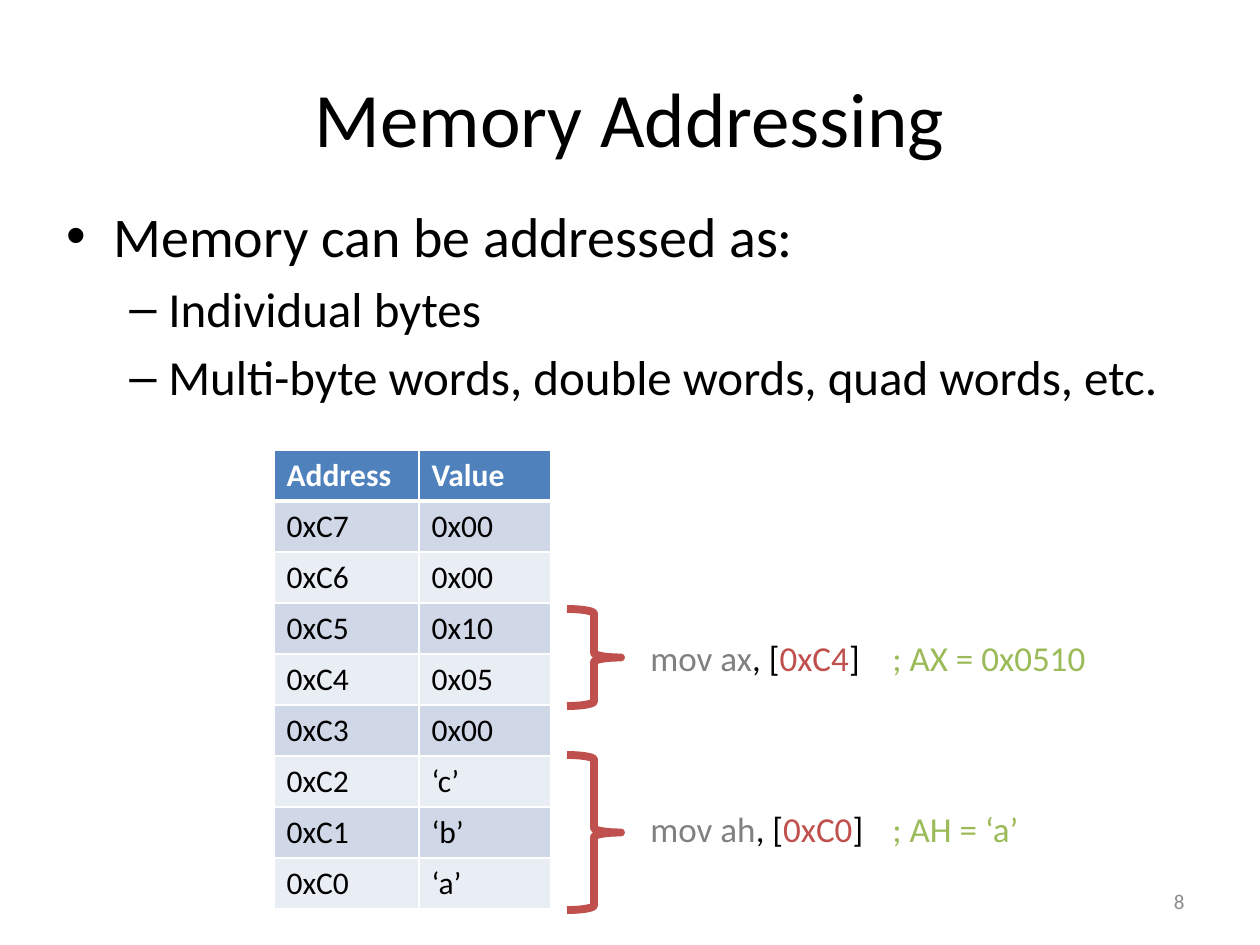
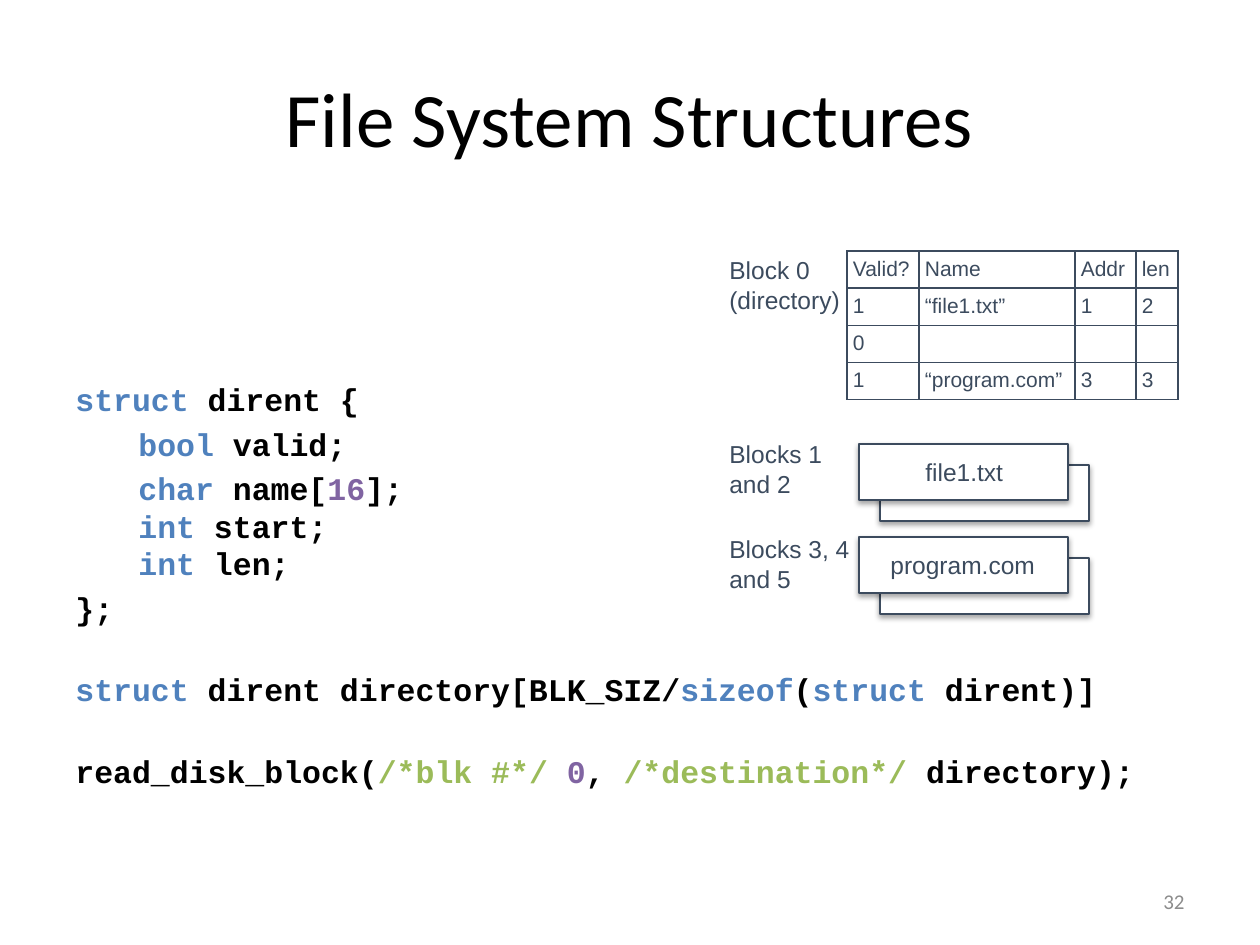
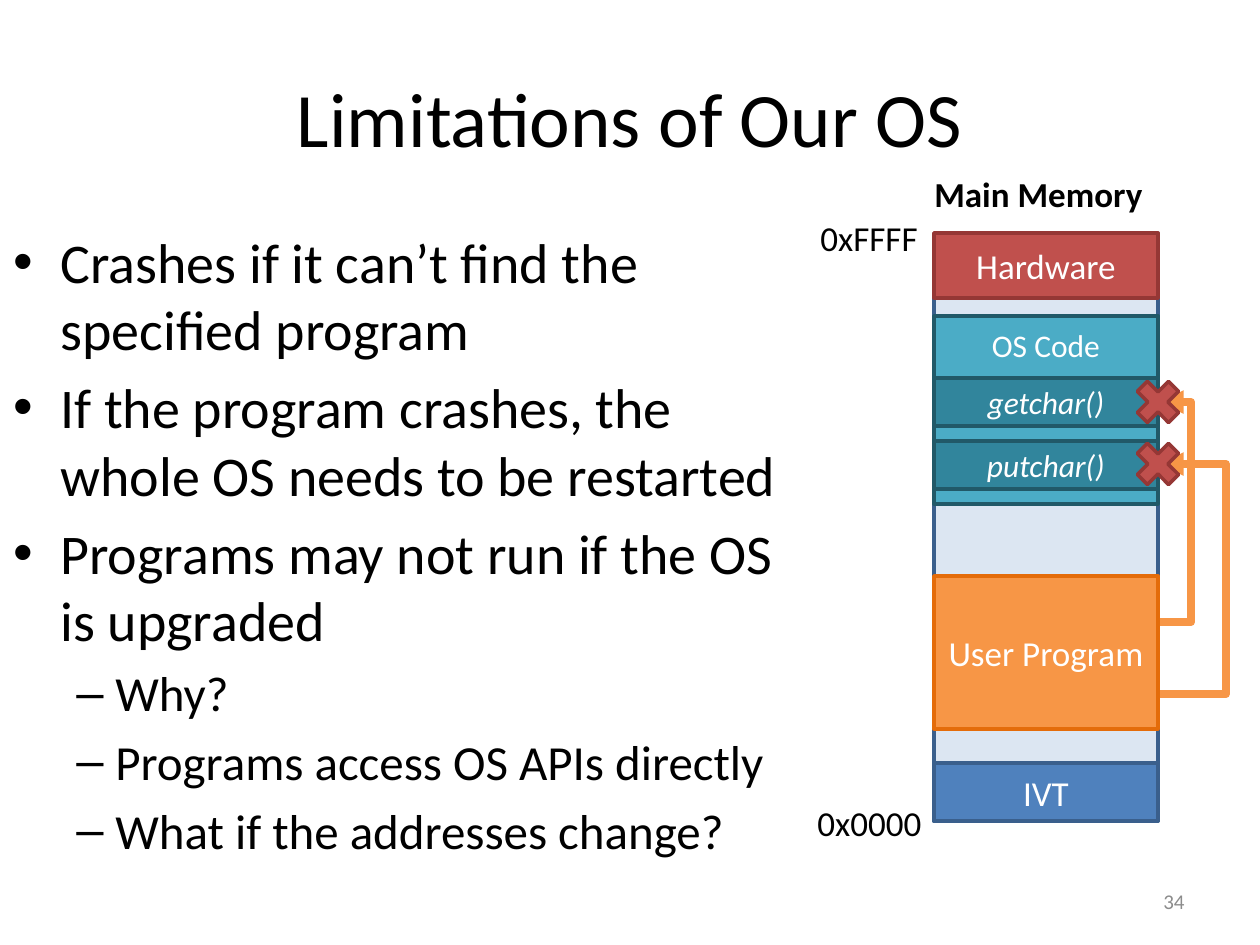
from dataclasses import dataclass

from pptx import Presentation
from pptx.dml.color import RGBColor
from pptx.enum.shapes import MSO_SHAPE
from pptx.enum.text import MSO_ANCHOR, PP_ALIGN
from pptx.oxml import parse_xml
from pptx.oxml.ns import nsdecls, qn
from pptx.util import Inches, Pt


@dataclass(frozen=True)
class Theme:
    black: str = "000000"
    white: str = "FFFFFF"
    gray: str = "808080"
    number_gray: str = "8C8C8C"
    slate: str = "3C4B5E"
    blue: str = "4F81BD"
    dark_blue: str = "3A5F8C"
    pale_blue: str = "DCE6F2"
    odd_row: str = "D0D8E8"
    even_row: str = "E9EDF4"
    red: str = "C0504D"
    dark_red: str = "953735"
    green: str = "9BBB59"
    purple: str = "8064A2"
    teal: str = "4BACC6"
    mid_teal: str = "31859C"
    dark_teal: str = "215968"
    orange: str = "F79646"
    dark_orange: str = "E46C0A"
    body_font: str = "Calibri"
    figure_font: str = "Arial"
    code_font: str = "Courier New"
    title_size: int = 44
    bullet_size: int = 32
    dash_size: int = 28
    label_size: int = 20
    code_size: int = 18
    caption_size: int = 14
    small_size: int = 12


theme = Theme()
PIXEL = Inches(1) / 126


def place(slide, kind, box, fill=None, line=None, width=2):
    """Add a preset shape, or a text box when kind is None; box is in pixels."""
    edges = [round(value * PIXEL) for value in box]
    if kind is None:
        shape = slide.shapes.add_textbox(*edges)
    else:
        shape = slide.shapes.add_shape(kind, *edges)
        shape.shadow.inherit = False
        if fill:
            shape.fill.solid()
            shape.fill.fore_color.rgb = RGBColor.from_string(fill)
        else:
            shape.fill.background()
        shape.line.color.rgb = RGBColor.from_string(line)
        shape.line.width = Pt(width)
    shape.text_frame.word_wrap = True
    return shape


def write(holder, text, size=theme.label_size, color=theme.black, font=theme.body_font,
          bold=False, italic=False, align=PP_ALIGN.LEFT, before=0, spacing=None,
          bullet=None, margin=0, hanging=0, tab=None):
    """Add a paragraph; text is a string or a list of (text, colour) runs."""
    frame = holder.text_frame
    paragraph = frame.paragraphs[0]
    if paragraph.runs:
        paragraph = frame.add_paragraph()
    paragraph.alignment = align
    paragraph.space_before = Pt(before)
    if spacing:
        paragraph.line_spacing = Pt(spacing)
    properties = paragraph._p.get_or_add_pPr()
    if bullet:
        properties.set("marL", str(round(margin * PIXEL)))
        properties.set("indent", str(round(-hanging * PIXEL)))
        properties.append(parse_xml(f'<a:buFont {nsdecls("a")} typeface="Arial"/>'))
        properties.append(parse_xml(f'<a:buChar {nsdecls("a")} char="{bullet}"/>'))
    if tab:
        properties.append(parse_xml(
            f'<a:tabLst {nsdecls("a")}><a:tab pos="{round(tab * PIXEL)}" algn="l"/></a:tabLst>'))
    if not text:
        paragraph._p.get_or_add_endParaRPr().set("sz", str(size * 100))
        return
    for words, run_color in [(text, color)] if isinstance(text, str) else text:
        run = paragraph.add_run()
        run.text = words
        run.font.name = font
        run.font.size = Pt(size)
        run.font.bold = bold
        run.font.italic = italic
        run.font.color.rgb = RGBColor.from_string(run_color)


presentation = Presentation()
presentation.slide_width = Inches(10)
presentation.slide_height = Inches(7.5)

# Shared title and slide number
slides = []
for title, number in [("Memory Addressing", "8"), ("File System Structures", "32"),
                      ("Limitations of Our OS", "34")]:
    slide = presentation.slides.add_slide(presentation.slide_layouts[6])
    slides.append(slide)
    for text, box, size, color, align in [
            (title, (63, 38, 1134, 158), theme.title_size, theme.black, PP_ALIGN.CENTER),
            (number, (903, 876, 294, 50), theme.small_size, theme.number_gray, PP_ALIGN.RIGHT)]:
        shape = place(slide, None, box)
        shape.text_frame.vertical_anchor = MSO_ANCHOR.MIDDLE
        write(shape, text, size=size, color=color, align=align)
addressing, file_system, limitations = slides

# Bullet lists: first the main points, then the dashed ones
for slide, box, points, dashes in [
        (addressing, (54, 195, 1166, 236), ["Memory can be addressed as:"],
         ["Individual bytes", "Multi-byte words, double words, quad words, etc."]),
        (limitations, (1, 221, 814, 624),
         ["Crashes if it can’t find the specified program",
          "If the program crashes, the whole OS needs to be restarted",
          "Programs may not run if the OS is upgraded"],
         ["Why?", "Programs access OS APIs directly", "What if the addresses change?"])]:
    shape = place(slide, None, box)
    for point in points:
        write(shape, point, size=theme.bullet_size, before=6.4, bullet="•", margin=47, hanging=47)
    for dash in dashes:
        write(shape, dash, size=theme.dash_size, before=5.6, bullet="–", margin=102, hanging=39)

# Tables: memory contents and disk directory
memory_rows = [("Address", "Value"), ("0xC7", "0x00"), ("0xC6", "0x00"), ("0xC5", "0x10"),
               ("0xC4", "0x05"), ("0xC3", "0x00"), ("0xC2", "‘c’"), ("0xC1", "‘b’"),
               ("0xC0", "‘a’")]
directory_rows = [("Valid?", "Name", "Addr", "len"), ("1", "“file1.txt”", "1", "2"),
                  ("0", "", "", ""), ("1", "“program.com”", "3", "3")]
for slide, left, top, widths, height, rows, banded, font, size, ink, border in [
        (addressing, 274, 450, (145, 132), 51, memory_rows, True,
         theme.body_font, theme.code_size, theme.black, theme.white),
        (file_system, 847, 251, (72, 156, 61, 42), 36, directory_rows, False,
         theme.figure_font, theme.small_size, theme.slate, theme.slate)]:
    table = slide.shapes.add_table(
        len(rows), len(widths), round(left * PIXEL), round(top * PIXEL),
        round(sum(widths) * PIXEL), round(height * len(rows) * PIXEL)).table
    for column, width in zip(table.columns, widths):
        column.width = round(width * PIXEL)
    for row_index, row in enumerate(rows):
        table.rows[row_index].height = round(height * PIXEL)
        header = banded and row_index == 0
        for column_index, text in enumerate(row):
            cell = table.cell(row_index, column_index)
            if banded:
                fill = theme.blue if header else (theme.even_row, theme.odd_row)[row_index % 2]
                cell.fill.solid()
                cell.fill.fore_color.rgb = RGBColor.from_string(fill)
            else:
                cell.fill.background()
                cell.margin_left = cell.margin_right = round(6 * PIXEL)
                cell.margin_top = cell.margin_bottom = round(6 * PIXEL)
            write(cell, text, size=size, font=font, bold=header,
                  color=theme.white if header else ink)
            for position, side in enumerate(("lnL", "lnR", "lnT", "lnB")):
                thick = banded and (row_index, side) in [(0, "lnB"), (1, "lnT")]
                cell._tc.get_or_add_tcPr().insert(position, parse_xml(
                    f'<a:{side} {nsdecls("a")} w="{Pt(3 if thick else 1)}"><a:solidFill>'
                    f'<a:srgbClr val="{border}"/></a:solidFill></a:{side}>'))

# Memory Addressing: braces and the instructions that read those bytes
for brace_top, brace_height, text_top, register, address, comment in [
        (755, 155, 801, "mov ah", "0xC0", "; AH = ‘a’"),
        (609, 97, 630, "mov ax", "0xC4", "; AX = 0x0510")]:
    place(addressing, MSO_SHAPE.RIGHT_BRACE, (567, brace_top, 54, brace_height),
          line=theme.red, width=4.5)
    shape = place(addressing, None, (638, text_top, 470, 55))
    write(shape, [(register, theme.gray), (", [", theme.black), (address, theme.red),
                  ("]\t", theme.black), (comment, theme.green)], tab=242)

# File System Structures: code, with the space before each line
black, blue, green, purple = theme.black, theme.blue, theme.green, theme.purple
code = [
    (0, [("struct ", blue), ("dirent {", black)]),
    (4, [("\t", black), ("bool ", blue), ("valid;", black)]),
    (4, [("\t", black), ("char ", blue), ("name[", black), ("16", purple), ("];", black)]),
    (0, [("\t", black), ("int ", blue), ("start;", black)]),
    (0, [("\t", black), ("int ", blue), ("len;", black)]),
    (4, [("};", black)]),
    (25, [("struct ", blue), ("dirent directory[BLK_SIZ/", black), ("sizeof", blue),
          ("(", black), ("struct ", blue), ("dirent)]", black)]),
    (25, [("read_disk_block(", black), ("/*blk #*/ ", green), ("0", purple), (", ", black),
          ("/*destination*/ ", green), ("directory);", black)]),
]
shape = place(file_system, None, (63, 374, 1134, 430))
for before, runs in code:
    write(shape, runs, size=theme.code_size, font=theme.code_font, bold=True,
          before=before, spacing=21.5)

# File System Structures: stacked blocks with a soft shadow
for top, name, name_left in [(444, "file1.txt", 913), (537, "program.com", 878)]:
    for offset in (21, 0):
        shape = place(file_system, MSO_SHAPE.ROUNDED_RECTANGLE,
                      (859 + offset, top + offset, 209, 56), theme.white, theme.slate, 1.5)
        shape.adjustments[0] = 0
        shape._element.spPr.find(qn("a:effectLst")).append(parse_xml(
            f'<a:outerShdw {nsdecls("a")} blurRad="40000" dist="23000" dir="5400000" '
            'rotWithShape="0"><a:srgbClr val="000000"><a:alpha val="35000"/></a:srgbClr>'
            '</a:outerShdw>'))
    write(place(file_system, None, (name_left, top + 7, 180, 43)), name,
          size=theme.caption_size, font=theme.figure_font, color=theme.slate)
for top, caption in [(249, "Block 0 (directory)"), (433, "Blocks 1 and 2"),
                     (528, "Blocks 3, 4 and 5")]:
    write(place(file_system, None, (717, top, 152, 72)), caption,
          size=theme.caption_size, font=theme.figure_font, color=theme.slate)

# Limitations: memory map, regions from back to front
small = theme.code_size
for top, height, fill, line, text, size, italic in [
        (234, 587, theme.pale_blue, theme.dark_blue, "", small, False),
        (763, 58, theme.blue, theme.dark_blue, "IVT", theme.label_size, False),
        (233, 65, theme.red, theme.dark_red, "Hardware", theme.label_size, False),
        (316, 188, theme.teal, theme.dark_teal, "", small, False),
        (378, 48, theme.mid_teal, theme.dark_teal, "getchar()", small, True),
        (441, 48, theme.mid_teal, theme.dark_teal, "putchar()", small, True),
        (576, 153, theme.orange, theme.dark_orange, "User Program", theme.label_size, False)]:
    shape = place(limitations, MSO_SHAPE.RECTANGLE, (934, top, 224, height), fill, line)
    if text:
        write(shape, text, size=size, color=theme.white, italic=italic, align=PP_ALIGN.CENTER)
write(place(limitations, None, (976, 320, 140, 50)), "OS Code", size=small,
      color=theme.white, align=PP_ALIGN.CENTER)
for left, top, width, text, bold in [(805, 795, 134, "0x0000", False),
                                     (808, 210, 130, "0xFFFF", False),
                                     (922, 166, 240, "Main Memory", True)]:
    write(place(limitations, None, (left, top, width, 55)), text, bold=bold)

# Limitations: calls from the user program, each one crossed out
for start, end, bend in [(622, 402, 1191), (694, 464, 1226)]:
    builder = limitations.shapes.build_freeform(1160, start, scale=PIXEL)
    builder.add_line_segments([(bend, start), (bend, end), (1160, end)], close=False)
    call = builder.convert_to_shape()
    call.shadow.inherit = False
    call.fill.background()
    call.line.color.rgb = RGBColor.from_string(theme.orange)
    call.line.width = Pt(4.5)
    call.line._get_or_add_ln().append(parse_xml(f'<a:tailEnd {nsdecls("a")} type="triangle"/>'))
    place(limitations, MSO_SHAPE.MATH_MULTIPLY, (1128, end - 30, 60, 60),
          theme.red, theme.dark_red)

presentation.save("out.pptx")
